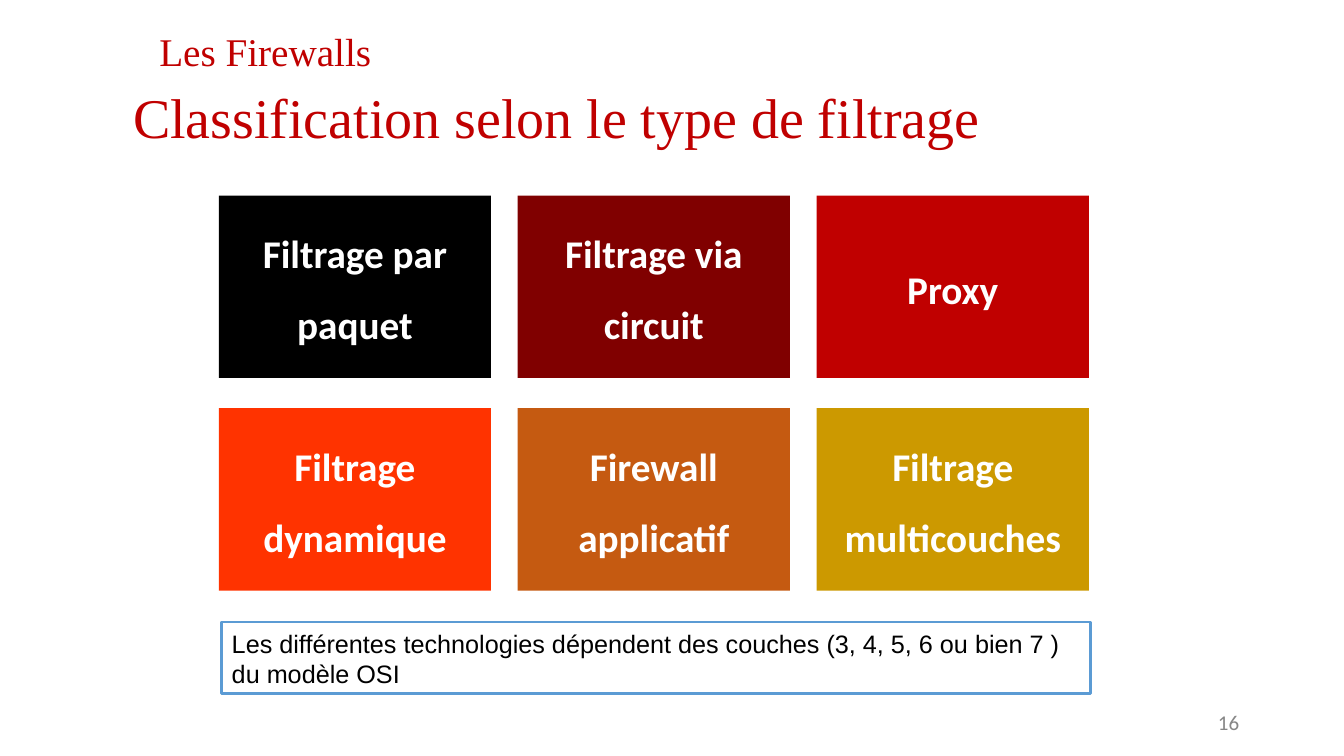
from pptx import Presentation
from pptx.dml.color import RGBColor
from pptx.enum.shapes import MSO_SHAPE
from pptx.enum.text import MSO_ANCHOR, MSO_AUTO_SIZE, PP_ALIGN
from pptx.util import Inches, Pt

RED = "C00000"
SERIF = "Times New Roman"

CARDS = [
    ("Filtrage par\vpaquet", "000000"),
    ("Filtrage via\vcircuit", "800000"),
    ("Proxy", RED),
    ("Filtrage\vdynamique", "FF3300"),
    ("Firewall\vapplicatif", "C55A11"),
    ("Filtrage\vmulticouches", "CC9900"),
]
COLUMNS, ROWS = 3, 2
CARD_WIDTH, CARD_HEIGHT = 2.7, 1.81


def color(value):
    return RGBColor.from_string(value)


def write(shape, text, font_name, size, font_color, bold=False,
          align=PP_ALIGN.LEFT, anchor=MSO_ANCHOR.TOP, insets=(0, 0.01, 0, 0),
          line_spacing=1.0):
    """Fill a shape with one formatted paragraph; insets are left, top, right, bottom."""
    frame = shape.text_frame
    frame.text = text
    frame.word_wrap = True
    frame.auto_size = MSO_AUTO_SIZE.NONE
    frame.vertical_anchor = anchor
    (frame.margin_left, frame.margin_top,
     frame.margin_right, frame.margin_bottom) = map(Inches, insets)
    paragraph = frame.paragraphs[0]
    paragraph.alignment = align
    paragraph.line_spacing = line_spacing
    paragraph.space_before = Pt(0)
    for run in paragraph.runs:
        run.font.name = font_name
        run.font.size = Pt(size)
        run.font.bold = bold
        run.font.color.rgb = color(font_color)


def add_text(slide, box, *text_format):
    write(slide.shapes.add_textbox(*map(Inches, box)), *text_format)


def add_panel(slide, box, fill, line=None, line_width=1):
    panel = slide.shapes.add_shape(MSO_SHAPE.RECTANGLE, *map(Inches, box))
    panel.shadow.inherit = False
    panel.fill.solid()
    panel.fill.fore_color.rgb = color(fill)
    if line:
        panel.line.color.rgb = color(line)
        panel.line.width = Pt(line_width)
    else:
        panel.line.fill.background()
    return panel


def add_heading(slide, box):
    """Title in its placeholder, with the chapter name above it."""
    left, top, width, height = box
    title = slide.shapes.title
    title.left, title.top, title.width, title.height = map(
        Inches, (left, top + 0.55, width, height - 0.55))
    write(title, "Classification selon le type de filtrage", SERIF, 40, RED)
    add_text(slide, (left + 0.26, top, 2.13, 0.49), "Les Firewalls", SERIF, 28, RED)


def add_card_grid(slide, box):
    """Cards spread evenly over the box."""
    left, top, width, height = box
    column_step = (width - CARD_WIDTH) / (COLUMNS - 1)
    row_step = (height - CARD_HEIGHT) / (ROWS - 1)
    for index, (label, fill) in enumerate(CARDS):
        row, column = divmod(index, COLUMNS)
        card = add_panel(slide, (left + column * column_step, top + row * row_step,
                                 CARD_WIDTH, CARD_HEIGHT), fill)
        write(card, label, "Calibri", 28, "FFFFFF", bold=True,
              align=PP_ALIGN.CENTER, anchor=MSO_ANCHOR.MIDDLE,
              insets=(0, 0, 0, 0.2), line_spacing=1.5)


def add_note(slide, box):
    """Outlined remark under the cards."""
    note = add_panel(slide, box, "FFFFFF", "5B9BD4", 2.04)
    write(note, "Les différentes technologies dépendent des couches "
                "(3, 4, 5, 6 ou bien 7 )\vdu modèle OSI",
          "Arial", 18, "000000", insets=(0.1, 0.06, 0, 0))


def main():
    presentation = Presentation()
    presentation.slide_width = Inches(13.33)
    presentation.slide_height = Inches(7.5)
    slide = presentation.slides.add_slide(presentation.slide_layouts[5])

    add_heading(slide, (1.32, 0.26, 10.01, 1.24))
    add_card_grid(slide, (2.17, 1.94, 8.63, 3.92))
    add_note(slide, (2.2, 6.17, 8.62, 0.71))
    # Page number
    add_text(slide, (12.08, 7.03, 0.29, 0.24), "16", "Calibri", 15, "878787")

    presentation.save("out.pptx")


if __name__ == "__main__":
    main()
